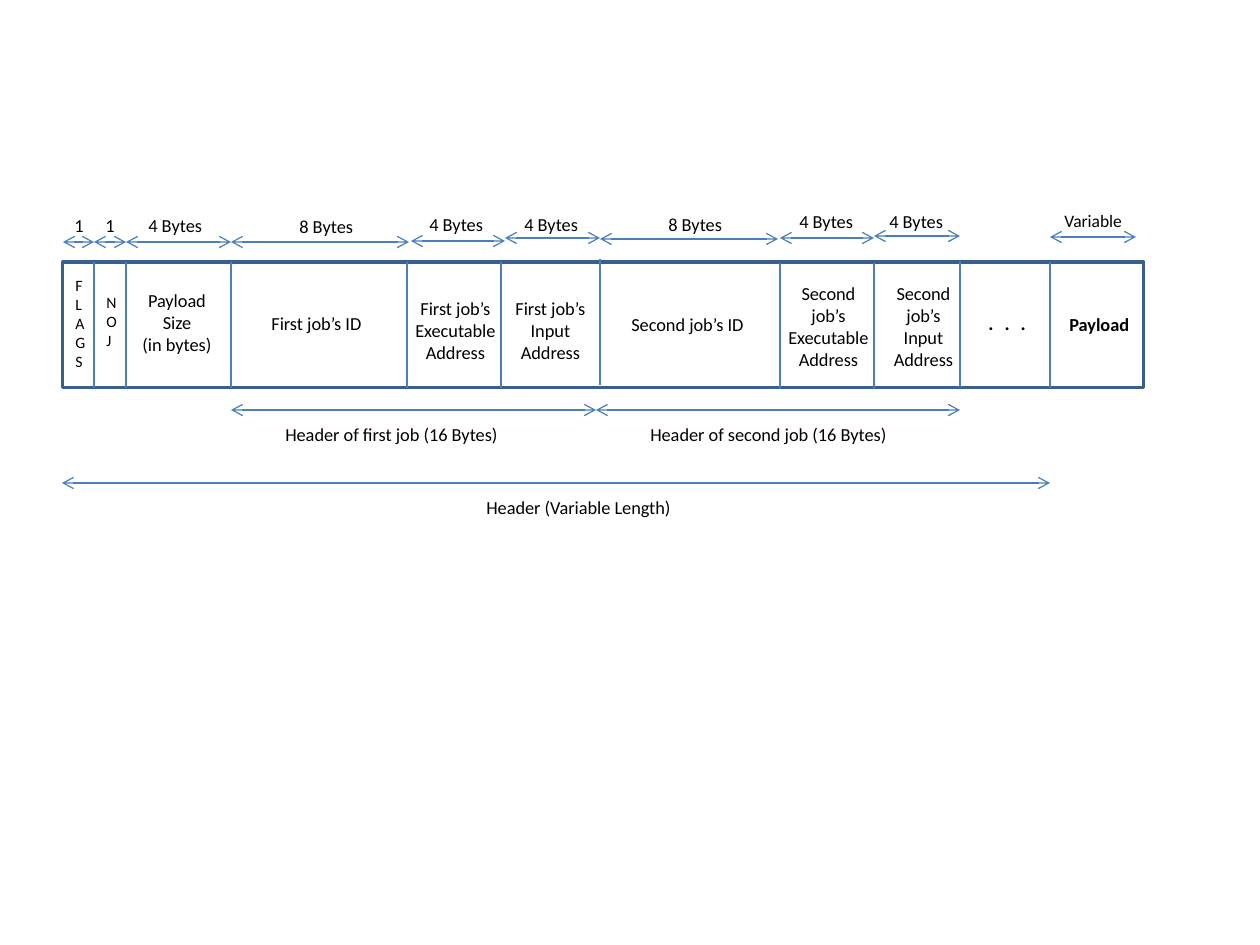
import pptx
import pptx.util
import pptx.dml.color
import pptx.enum.shapes
import pptx.enum.text
import pptx.oxml.ns
import lxml.etree

PX = 914400 / 126
THEME = {
    "font": "Calibri",
    "text": pptx.dml.color.RGBColor.from_string("000000"),
    "paper": pptx.dml.color.RGBColor.from_string("FFFFFF"),
    "frame": pptx.dml.color.RGBColor.from_string("3A5F8C"),
    "line": pptx.dml.color.RGBColor.from_string("4B7EBC"),
    "frame_width": 1.75,
    "line_width": 0.75,
    "body": 10.5,
    "variable": 10,
    "narrow": 9,
    "dots": 11,
}
LEFT = pptx.enum.text.PP_ALIGN.LEFT
CENTER = pptx.enum.text.PP_ALIGN.CENTER


def add_text(text, left, top, width, height=35, size="body", bold=False,
             align=LEFT, wrap=False, spacing=None):
    box = slide.shapes.add_textbox(*[round(v * PX) for v in (left, top, width, height)])
    frame = box.text_frame
    frame.word_wrap = wrap
    frame.auto_size = pptx.enum.text.MSO_AUTO_SIZE.SHAPE_TO_FIT_TEXT
    for number, line in enumerate(text.split("\n")):
        paragraph = frame.add_paragraph() if number else frame.paragraphs[0]
        paragraph.alignment = align
        run = paragraph.add_run()
        run.text = line
        run.font.name = THEME["font"]
        run.font.size = pptx.util.Pt(THEME[size])
        run.font.bold = bold
        run.font.color.rgb = THEME["text"]
        if spacing:
            run.font._element.set("spc", str(spacing))


def add_line(x1, y1, x2, y2, arrows=False):
    line = slide.shapes.add_connector(
        pptx.enum.shapes.MSO_CONNECTOR.STRAIGHT,
        *[round(v * PX) for v in (x1, y1, x2, y2)])
    line.line.color.rgb = THEME["line"]
    line.line.width = pptx.util.Pt(THEME["line_width"])
    if arrows:
        outline = line.line._get_or_add_ln()
        for end in ("a:headEnd", "a:tailEnd"):
            lxml.etree.SubElement(outline, pptx.oxml.ns.qn(end), type="arrow")
    lxml.etree.SubElement(line._element.spPr, pptx.oxml.ns.qn("a:effectLst"))


deck = pptx.Presentation()
deck.slide_width = pptx.util.Inches(10)
deck.slide_height = pptx.util.Inches(7.5)
slide = deck.slides.add_slide(deck.slide_layouts[6])

packet = slide.shapes.add_shape(
    pptx.enum.shapes.MSO_SHAPE.RECTANGLE,
    *[round(v * PX) for v in (63, 262, 1081, 126)])
packet.shadow.inherit = False
packet.fill.solid()
packet.fill.fore_color.rgb = THEME["paper"]
packet.line.color.rgb = THEME["frame"]
packet.line.width = pptx.util.Pt(THEME["frame_width"])

dividers = [(94, 262), (126, 262), (231, 262), (407, 262), (501, 262),
            (600, 259), (780, 263), (874, 263), (960, 261), (1050, 262)]
for x, top in dividers:
    add_line(x, top, x, top + 126)

centred = {"align": CENTER}
wrapped = {"align": CENTER, "wrap": True}
fields = [
    ("F\nL\nA\nG\nS", 63, 270, 35, 108, {"size": "narrow"}),
    ("N\nO\nJ", 94, 287, 36, 71, {"size": "narrow"}),
    ("Payload\nSize\n(in bytes)", 129, 283, 96, 80, centred),
    ("First job’s ID", 259, 306, 119, 35, {}),
    ("First job’s Executable Address", 399, 291, 113, 80, wrapped),
    ("First job’s Input\nAddress", 494, 291, 113, 80, wrapped),
    ("Second job’s ID", 619, 307, 141, 35, {}),
    ("Second\njob’s Executable Address", 772, 276, 113, 102, wrapped),
    ("Second\njob’s\nInput\nAddress", 867, 276, 113, 102, wrapped),
    (". . .", 976, 305, 68, 36, {"size": "dots", "bold": True, "spacing": 190}),
    ("Payload", 1057, 307, 87, 35, {"bold": True}),
]
for text, left, top, width, height, style in fields:
    add_text(text, left, top, width, height, **style)

spans = [
    (63, 94, 242, "1", 62, 208, 35, "body"),
    (94, 126, 242, "1", 93, 208, 35, "body"),
    (126, 231, 242, "4 Bytes", 136, 208, 81, "body"),
    (231, 409, 242, "8 Bytes", 287, 209, 81, "body"),
    (411, 505, 241, "4 Bytes", 417, 207, 81, "body"),
    (505, 600, 238, "4 Bytes", 512, 207, 81, "body"),
    (600, 778, 239, "8 Bytes", 656, 207, 81, "body"),
    (780, 874, 238, "4 Bytes", 787, 204, 81, "body"),
    (874, 960, 236, "4 Bytes", 877, 204, 81, "body"),
    (1050, 1136, 237, "Variable", 1052, 204, 84, "variable"),
    (231, 596, 410, "Header of first job (16 Bytes)", 273, 417, 242, "body"),
    (596, 960, 410, "Header of second job (16 Bytes)", 638, 417, 266, "body"),
    (62, 1050, 483, "Header (Variable Length)", 474, 490, 213, "body"),
]
for start, end, y, label, left, top, width, size in spans:
    add_line(start, y, end, y, arrows=True)
    add_text(label, left, top, width, size=size)

deck.save("out.pptx")
